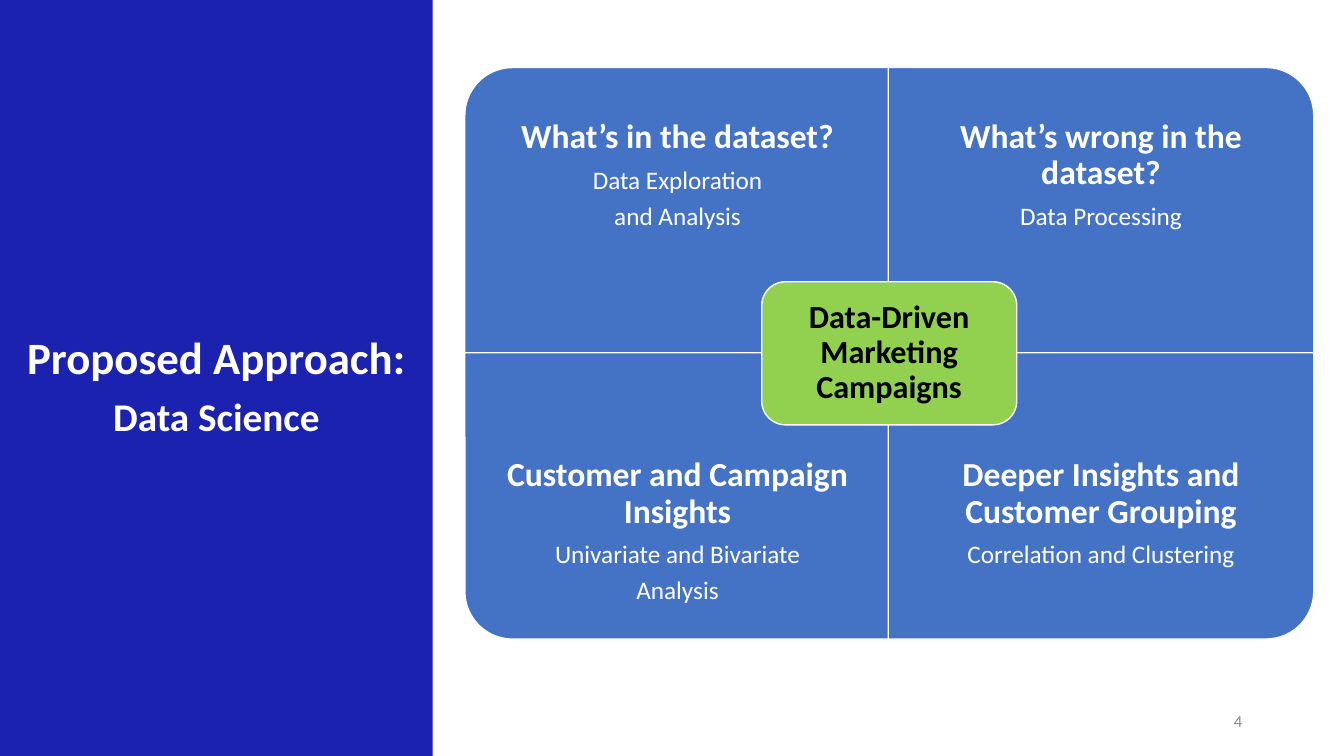
from pptx import Presentation
from pptx.dml.color import RGBColor
from pptx.enum import shapes, text
from pptx.util import Inches, Pt

COLORS = {"panel": "1B22B0", "tile": "4472C4", "hub": "92D050",
          "white": "FFFFFF", "black": "000000", "gray": "8C8C8C"}
TITLE = [("Proposed Approach:", 32), ("Data Science", 28)]
# column, row, rotation, heading, details, extra room below the text
TILES = [
    (0, 0, 270, "What’s in the dataset?", ["Data Exploration", "and Analysis"], 0),
    (1, 0, 0, "What’s wrong in the dataset?", ["Data Processing"], 0),
    (0, 1, 180, "Customer and Campaign Insights",
     ["Univariate and Bivariate", "Analysis"], 0),
    (1, 1, 90, "Deeper Insights and Customer Grouping",
     ["Correlation and Clustering"], 0.36),
]
HUB = "Data-Driven Marketing Campaigns"
PAGE = "4"

LEFT, TOP = 4.61, 0.67
STEP_X, STEP_Y = 4.2, 2.83
TILE_W, TILE_H, TEXT_H = 4.22, 2.84, 2.13
HUB_W, HUB_H = 2.53, 1.42
PAD = 0.19

KIND = shapes.MSO_SHAPE
ALIGN = text.PP_ALIGN
ANCHOR = text.MSO_ANCHOR


def color(name):
    return RGBColor.from_string(COLORS[name])


def add_box(parent, kind, box, fill, line=None):
    shape = parent.add_shape(kind, *map(Inches, box))
    shape.shadow.inherit = False
    shape.fill.solid()
    shape.fill.fore_color.rgb = color(fill)
    if line:
        shape.line.color.rgb = color(line)
        shape.line.width = Pt(1)
    else:
        shape.line.fill.background()
    return shape


def write(shape, lines, ink, pads, anchor=ANCHOR.MIDDLE, align=ALIGN.CENTER,
          pitch=0.9, before=0, after=0.35):
    """Fill a shape with (words, size, bold) lines; after is a share of the size."""
    frame = shape.text_frame
    frame.word_wrap = True
    frame.vertical_anchor = anchor
    (frame.margin_left, frame.margin_top,
     frame.margin_right, frame.margin_bottom) = map(Inches, pads)
    for i, (words, size, bold) in enumerate(lines):
        para = frame.add_paragraph() if i else frame.paragraphs[0]
        para.text = words
        para.alignment = align
        para.line_spacing = pitch
        para.space_before = Pt(before if i else 0)
        para.space_after = Pt(size * after)
        font = para.font
        font.name, font.size, font.bold = "Calibri", Pt(size), bold
        font.color.rgb = color(ink)


def add_tile(group, col, row, turn, head, details, room):
    x, y = LEFT + col * STEP_X, TOP + row * STEP_Y
    # A quarter turn swaps the sides about the same centre.
    w, h = (TILE_H, TILE_W) if turn % 180 else (TILE_W, TILE_H)
    box = (x + (TILE_W - w) / 2, y + (TILE_H - h) / 2, w, h)
    add_box(group, KIND.ROUND_1_RECTANGLE, box, "tile", "white").rotation = turn
    top = y + row * (TILE_H - TEXT_H)
    label = group.add_textbox(*map(Inches, (x, top, TILE_W, TEXT_H)))
    lines = [(head, 24, True)] + [(words, 18, False) for words in details]
    write(label, lines, "white", (PAD, PAD, PAD, PAD + room))


def main():
    deck = Presentation()
    deck.slide_width, deck.slide_height = Inches(13.33), Inches(7.5)
    slide = deck.slides.add_slide(deck.slide_layouts[6])

    panel = add_box(slide.shapes, KIND.RECTANGLE, (0, 0, 4.29, 7.5), "panel")
    write(panel, [(words, size, True) for words, size in TITLE], "white",
          (0.1, 3.33, 0.1, 0.05), ANCHOR.TOP, before=10, after=0)

    page = slide.shapes.add_textbox(*map(Inches, (9.42, 6.95, 3, 0.4)))
    write(page, [(PAGE, 12, False)], "gray", (0.1, 0.05, 0.1, 0.05),
          align=ALIGN.RIGHT, pitch=1.0, after=0)

    group = slide.shapes.add_group_shape().shapes
    for tile in TILES:
        add_tile(group, *tile)

    mid_x = LEFT + (STEP_X + TILE_W) / 2
    mid_y = TOP + (STEP_Y + TILE_H) / 2
    box = (mid_x - HUB_W / 2, mid_y - HUB_H / 2, HUB_W, HUB_H)
    hub = add_box(group, KIND.ROUNDED_RECTANGLE, box, "hub", "white")
    write(hub, [(HUB, 23, True)], "black", [0.1] * 4)

    deck.save("out.pptx")


if __name__ == "__main__":
    main()
